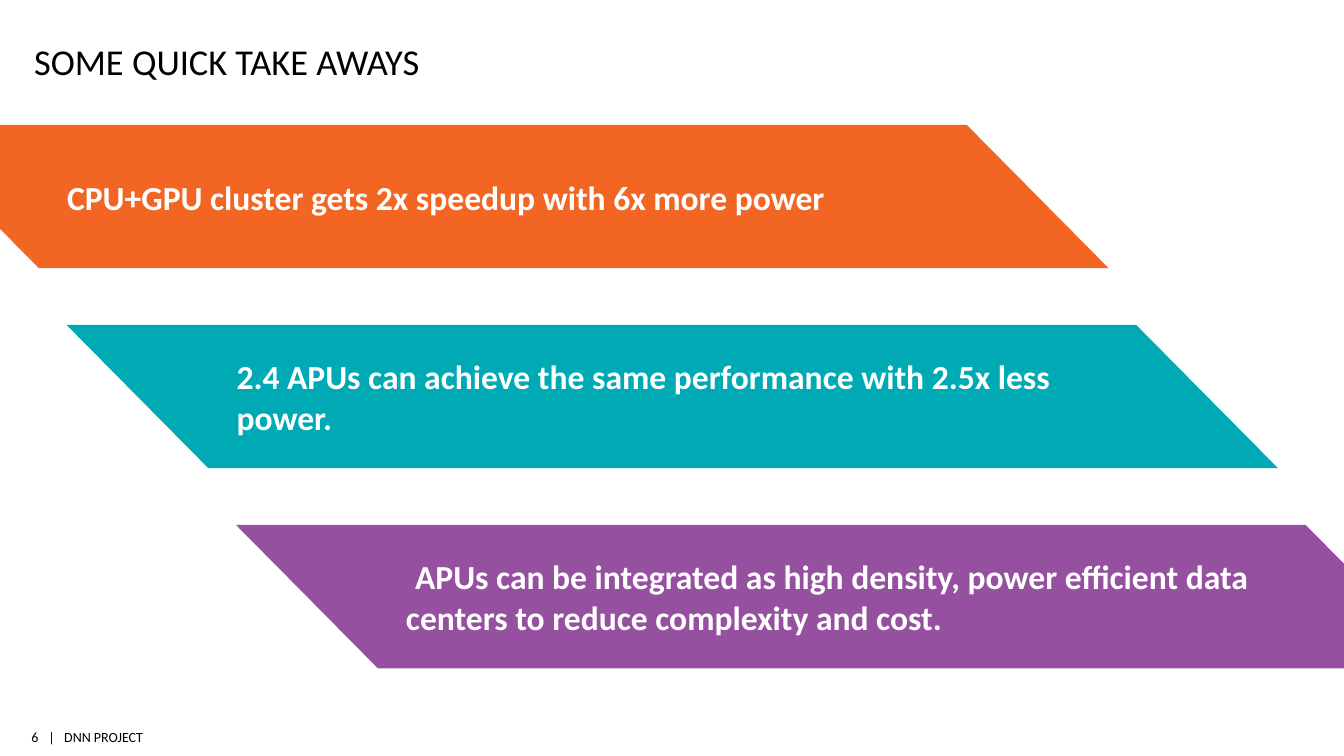
from pptx import Presentation
from pptx.dml.color import RGBColor
from pptx.enum.shapes import MSO_SHAPE
from pptx.enum.text import MSO_ANCHOR, PP_ALIGN
from pptx.util import Cm, Pt

BLACK = RGBColor(0x00, 0x00, 0x00)
WHITE = RGBColor(0xFF, 0xFF, 0xFF)
ORANGE = RGBColor(0xF2, 0x65, 0x22)
TEAL = RGBColor(0x00, 0xAA, 0xB5)
PURPLE = RGBColor(0x96, 0x50, 0xA0)

BANNER_LEFT, BANNER_TOP = -2.59, 3.15
BANNER_STEP_X, BANNER_STEP_Y = 4.27, 5.04
BANNERS = [
    (ORANGE, "CPU+GPU cluster gets 2x speedup with 6x more power", 0),
    (TEAL, "2.4 APUs can achieve the same performance with 2.5x less power.", 0),
    (
        PURPLE,
        "APUs can be integrated as high density, power efficient data "
        "centers to reduce complexity and cost.",
        0.23,
    ),
]


class TakeawaySlide:
    font_name = "Calibri"

    def __init__(self, presentation):
        self.slide = presentation.slides.add_slide(presentation.slide_layouts[6])

    def add_text(self, paragraph, text, size, color, bold=False):
        run = paragraph.add_run()
        run.text = text
        run.font.name = self.font_name
        run.font.size = Pt(size)
        run.font.bold = bold
        run.font.color.rgb = color

    def text_box(self, box, text, size, anchor, margins, align=PP_ALIGN.LEFT, wrap=False):
        shape = self.slide.shapes.add_textbox(*(Cm(length) for length in box))
        frame = shape.text_frame
        frame.word_wrap = wrap
        frame.vertical_anchor = anchor
        frame.margin_left = frame.margin_right = 0
        frame.margin_top, frame.margin_bottom = (Cm(margin) for margin in margins)
        paragraph = frame.paragraphs[0]
        paragraph.alignment = align
        self.add_text(paragraph, text, size, BLACK)

    def banner(self, left, top, color, text, indent):
        shape = self.slide.shapes.add_shape(
            MSO_SHAPE.PARALLELOGRAM, Cm(left), Cm(top), Cm(30.53), Cm(3.61)
        )
        shape.adjustments[0] = 0.99
        shape.shadow.inherit = False
        shape.fill.solid()
        shape.fill.fore_color.rgb = color
        shape.line.fill.background()
        shape._element.spPr.find(
            "{http://schemas.openxmlformats.org/drawingml/2006/main}xfrm"
        ).set("flipH", "1")
        frame = shape.text_frame
        frame.word_wrap = True
        frame.vertical_anchor = MSO_ANCHOR.MIDDLE
        paragraph = frame.paragraphs[0]
        paragraph.alignment = PP_ALIGN.LEFT
        if indent:
            paragraph._p.get_or_add_pPr().set("indent", str(Cm(indent)))
        self.add_text(paragraph, text, 24, WHITE, bold=True)


def main():
    presentation = Presentation()
    presentation.slide_width = Cm(33.87)
    presentation.slide_height = Cm(19.05)
    takeaways = TakeawaySlide(presentation)

    footer_style = (10, MSO_ANCHOR.MIDDLE, (0.1, 0.1))
    takeaways.text_box((1.22, 18.24, 2.44, 0.66), "|   DNN PROJECT", *footer_style)
    takeaways.text_box((0.56, 18.24, 0.41, 0.66), "6", *footer_style, align=PP_ALIGN.RIGHT)
    takeaways.text_box(
        (0.86, 0.76, 28.96, 1.32),
        "SOME QUICK TAKE AWAYS", 26, MSO_ANCHOR.BOTTOM, (0.13, 0), wrap=True,
    )
    for index, (color, text, indent) in enumerate(BANNERS):
        left = BANNER_LEFT + index * BANNER_STEP_X
        top = BANNER_TOP + index * BANNER_STEP_Y
        takeaways.banner(left, top, color, text, indent)

    presentation.save("out.pptx")


if __name__ == "__main__":
    main()
